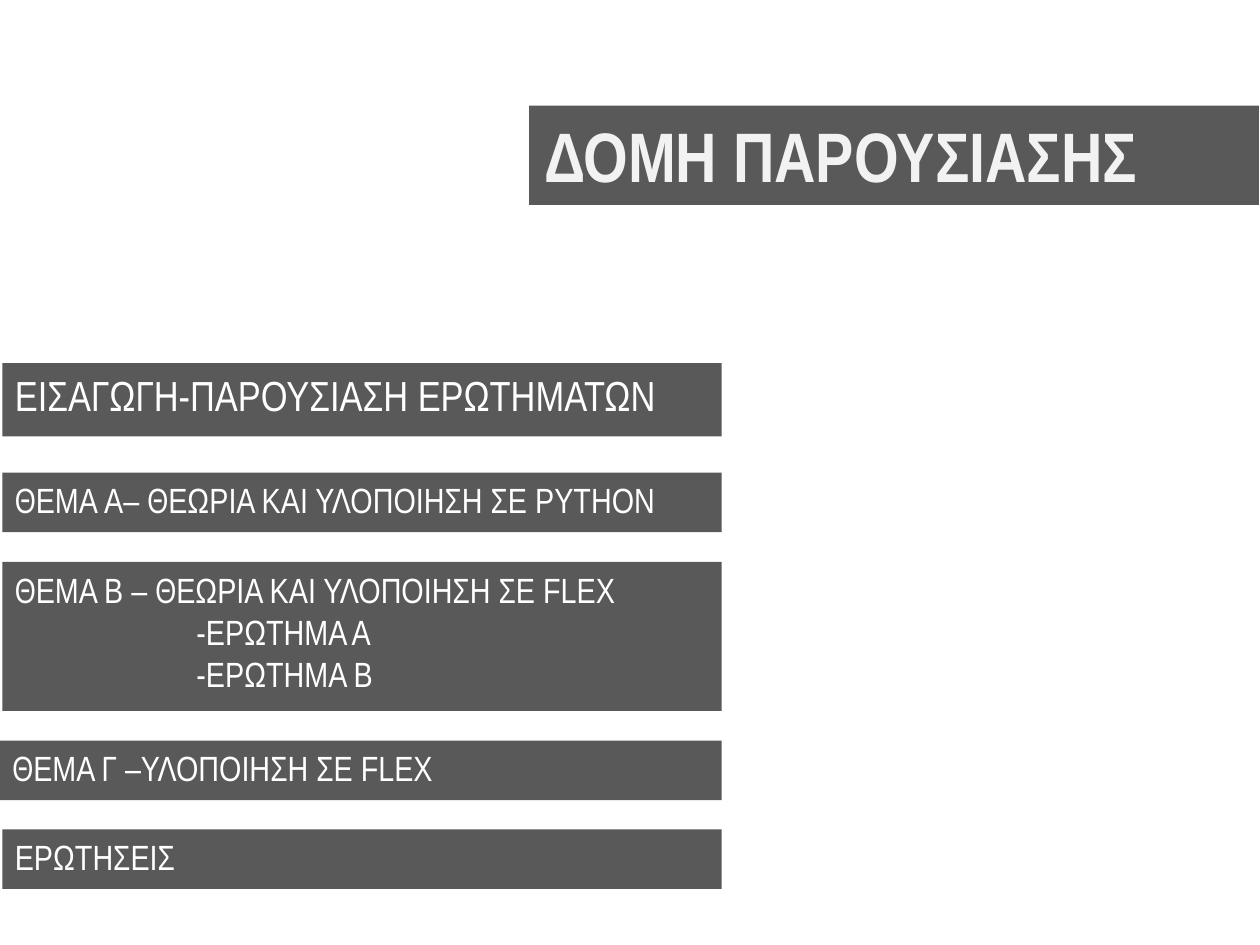
from pptx import Presentation
from pptx.dml.color import RGBColor
from pptx.enum import shapes, text
from pptx.util import Cm, Pt

GREY, WHITE, PALE = "595959", "FFFFFF", "F2F2F2"
SUB_INDENT = Cm(3.66)


def add_bar(left, top, width, height):
    bar = slide.shapes.add_shape(
        shapes.MSO_SHAPE.RECTANGLE, Cm(left), Cm(top), Cm(width), Cm(height))
    bar.shadow.inherit = False
    bar.fill.solid()
    bar.fill.fore_color.rgb = RGBColor.from_string(GREY)
    bar.line.fill.background()
    return bar


def write(paragraph, words, size, colour, bold=False):
    paragraph.text = words
    paragraph.alignment = text.PP_ALIGN.LEFT
    for name, value in {"name": "Arial Narrow", "size": Pt(size), "bold": bold}.items():
        setattr(paragraph.font, name, value)
    paragraph.font.color.rgb = RGBColor.from_string(colour)


prs = Presentation()
prs.slide_width, prs.slide_height = Cm(25.4), Cm(19.05)
slide = prs.slides.add_slide(prs.slide_layouts[5])

# Heading, with its bar placed behind it
heading = slide.shapes.title
heading_place = {"left": 10.72, "top": 2.13, "width": 14.71, "height": 1.96}
for side, length in heading_place.items():
    setattr(heading, side, Cm(length))
heading.text_frame.auto_size = text.MSO_AUTO_SIZE.NONE
heading.text_frame.vertical_anchor = text.MSO_ANCHOR.MIDDLE
write(heading.text_frame.paragraphs[0], "ΔΟΜΗ ΠΑΡΟΥΣΙΑΣΗΣ", 40, PALE, bold=True)
heading_bar = add_bar(10.67, 2.13, 14.71, 2)
heading.element.addprevious(heading_bar.element)

# Sections: left, top, height, text size, topic, questions below it
sections = [
    (0.05, 7.32, 1.48, 24, "ΕΙΣΑΓΩΓΗ-ΠΑΡΟΥΣΙΑΣΗ ΕΡΩΤΗΜΑΤΩΝ", []),
    (0.05, 9.53, 1.2, 20, "ΘΕΜΑ A– ΘΕΩΡΙΑ ΚΑΙ ΥΛΟΠΟΙΗΣΗ ΣΕ PYTHON", []),
    (0.05, 11.33, 3, 20, "ΘΕΜΑ B – ΘΕΩΡΙΑ ΚΑΙ ΥΛΟΠΟΙΗΣΗ ΣΕ FLEX",
     ["-ΕΡΩΤΗΜΑ Α", "-ΕΡΩΤΗΜΑ Β"]),
    (0, 14.93, 1.2, 20, "ΘΕΜΑ Γ –ΥΛΟΠΟΙΗΣΗ ΣΕ FLEX", []),
    (0.05, 16.72, 1.2, 20, "ΕΡΩΤΗΣΕΙΣ", []),
]
right_edge = 14.55

for left, top, height, size, topic, questions in sections:
    frame = add_bar(left, top, right_edge - left, height).text_frame
    frame.word_wrap = True
    frame.vertical_anchor = text.MSO_ANCHOR.TOP
    write(frame.paragraphs[0], topic, size, WHITE)
    for question in questions:
        line = frame.add_paragraph()
        write(line, question, size, WHITE)
        line._p.get_or_add_pPr().set("marL", str(SUB_INDENT))

prs.save("out.pptx")
